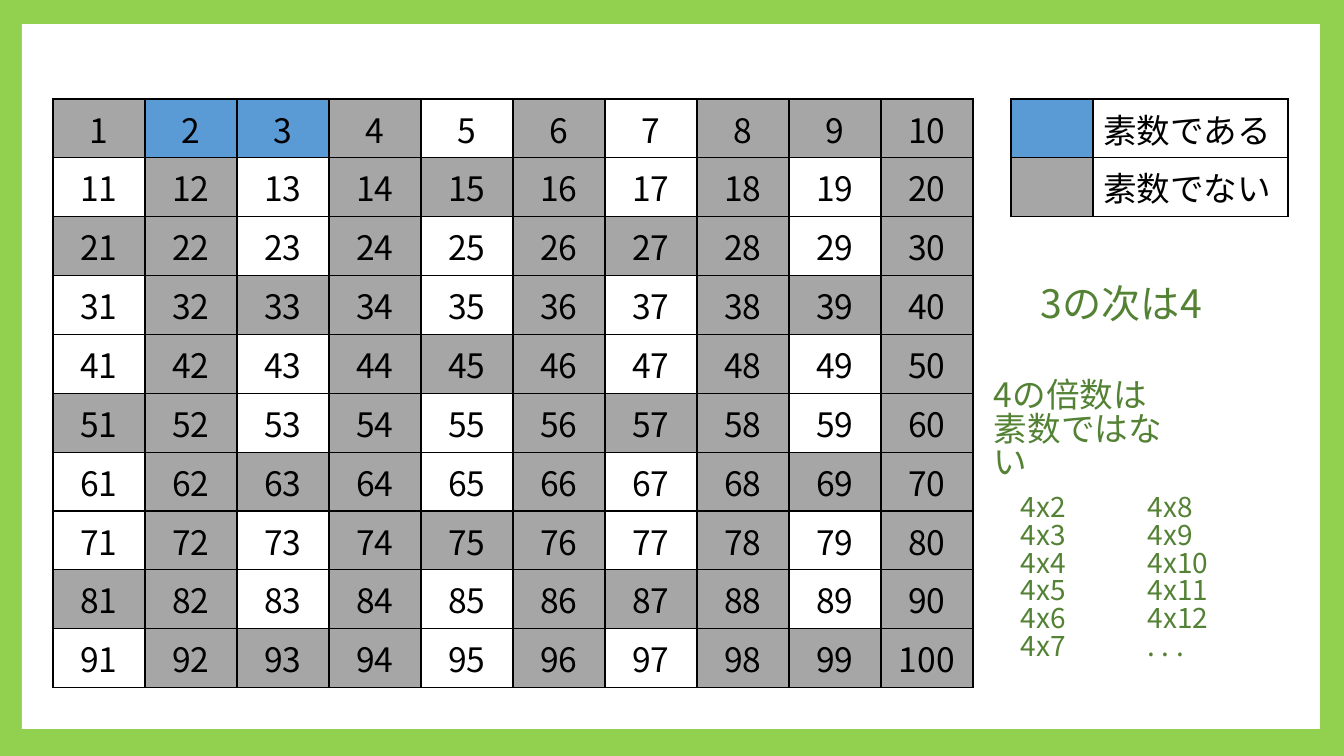
from dataclasses import dataclass

from lxml import etree
from pptx import Presentation
from pptx.dml.color import RGBColor
from pptx.enum.shapes import MSO_SHAPE
from pptx.enum.text import MSO_ANCHOR, PP_ALIGN
from pptx.oxml.ns import qn
from pptx.util import Emu, Pt

RECT = MSO_SHAPE.RECTANGLE
LEFT, CENTER = PP_ALIGN.LEFT, PP_ALIGN.CENTER
MIDDLE = MSO_ANCHOR.MIDDLE
WIDE, HIGH = 1344, 756
SCALE = 12192000 / WIDE
SIDE = 10


@dataclass(frozen=True)
class Theme:
    """Colours, font and type sizes of the slide."""
    frame: str = "92D050"
    paper: str = "FFFFFF"
    ink: str = "000000"
    prime: str = "5B9BD5"
    other: str = "A6A6A6"
    note: str = "548235"
    font: str = "Noto Sans CJK JP"
    head: int = 28
    body: int = 24
    small: int = 20
    rule: int = 1
    pitch: float = 0.83


@dataclass(frozen=True)
class Box:
    """A place on the slide in px."""
    x: int
    y: int
    w: int
    h: int

    def emu(self) -> list[Emu]:
        """Give the place in EMU."""
        return [px(n) for n in (self.x, self.y, self.w, self.h)]


@dataclass(frozen=True)
class Cell:
    """Text and fill of one table cell."""
    text: str
    fill: str


@dataclass(frozen=True)
class Note:
    """A text block beside the grid."""
    box: Box
    lines: list[str]
    size: int


THEME = Theme()


def px(n: int) -> Emu:
    """Turn px into EMU."""
    return Emu(round(n * SCALE))


def style(para, size: int, color: str) -> None:
    """Format every run of a paragraph."""
    for run in para.runs:
        run.font.size = Pt(size)
        run.font.name = THEME.font
        run.font.color.rgb = RGBColor.from_string(color)
        east = etree.SubElement(run._r.get_or_add_rPr(), qn("a:ea"))
        east.set("typeface", THEME.font)


def edge(cell) -> None:
    """Draw the four borders of a cell."""
    props = cell._tc.get_or_add_tcPr()
    for spot, tag in enumerate(("a:lnL", "a:lnR", "a:lnT", "a:lnB")):
        line = etree.Element(qn(tag), w=str(Pt(THEME.rule)))
        fill = etree.SubElement(line, qn("a:solidFill"))
        etree.SubElement(fill, qn("a:srgbClr"), val=THEME.ink)
        props.insert(spot, line)


def draw_table(slide, box: Box, cols: list[int], rows: list[list[Cell]],
               align: PP_ALIGN) -> None:
    """Add a ruled table with filled cells."""
    table = slide.shapes.add_table(len(rows), len(cols), *box.emu()).table
    for col, width in zip(table.columns, cols):
        col.width = px(width)
    for r, row in enumerate(rows):
        for c, item in enumerate(row):
            cell = table.cell(r, c)
            cell.fill.solid()
            cell.fill.fore_color.rgb = RGBColor.from_string(item.fill)
            edge(cell)
            cell.vertical_anchor = MIDDLE
            para = cell.text_frame.paragraphs[0]
            para.text = item.text
            para.alignment = align
            style(para, THEME.body, THEME.ink)


def draw_note(slide, note: Note) -> None:
    """Add a block of green lines."""
    frame = slide.shapes.add_textbox(*note.box.emu()).text_frame
    frame.word_wrap = True
    frame.text = "\n".join(note.lines)
    for para in frame.paragraphs:
        para.line_spacing = THEME.pitch
        style(para, note.size, THEME.note)


def shade(n: int) -> str:
    """Pick the fill of a number once multiples of 2 and 3 are out."""
    if n in (2, 3):
        return THEME.prime
    return THEME.other if n == 1 or n % 2 == 0 or n % 3 == 0 else THEME.paper


def main() -> None:
    """Build and save the slide."""
    deck = Presentation()
    deck.slide_width, deck.slide_height = px(WIDE), px(HIGH)
    slide = deck.slides.add_slide(deck.slide_layouts[6])
    back = slide.background.fill
    back.solid()
    back.fore_color.rgb = RGBColor.from_string(THEME.frame)

    paper = slide.shapes.add_shape(RECT, *Box(22, 24, 1298, 705).emu())
    paper.shadow.inherit = False
    paper.fill.solid()
    paper.fill.fore_color.rgb = RGBColor.from_string(THEME.paper)
    paper.line.fill.background()

    grid = [[Cell(str(n), shade(n)) for n in range(top, top + SIDE)]
            for top in range(1, SIDE * SIDE, SIDE)]
    draw_table(slide, Box(53, 99, 920, 588), [92] * SIDE, grid, CENTER)

    key = [[Cell("", THEME.prime), Cell("素数である", THEME.paper)],
           [Cell("", THEME.other), Cell("素数でない", THEME.paper)]]
    draw_table(slide, Box(1011, 99, 277, 117), [82, 195], key, LEFT)

    notes = [
        Note(Box(1031, 282, 192, 57), ["3の次は4"], THEME.head),
        Note(Box(984, 376, 218, 92), ["4の倍数は", "素数ではない"], THEME.body),
        Note(Box(1011, 490, 85, 214),
             [f"4x{n}" for n in range(2, 8)], THEME.small),
        Note(Box(1138, 490, 96, 214),
             [f"4x{n}" for n in range(8, 13)] + [". . ."], THEME.small),
    ]
    for note in notes:
        draw_note(slide, note)
    deck.save("out.pptx")


if __name__ == "__main__":
    main()
